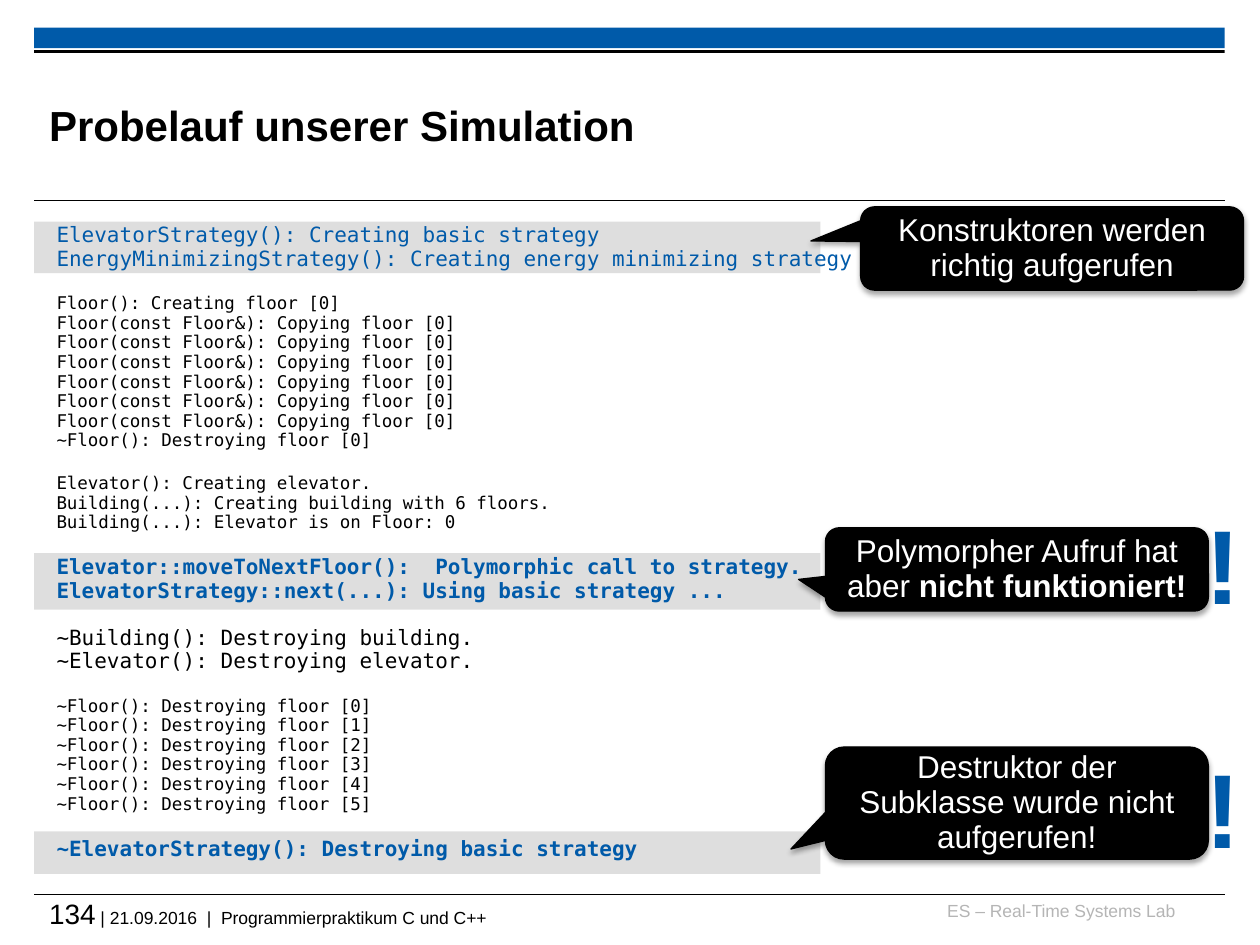
from pptx import Presentation
from pptx.dml.color import RGBColor
from pptx.enum.shapes import MSO_CONNECTOR, MSO_SHAPE
from pptx.enum.text import MSO_ANCHOR, PP_ALIGN
from pptx.oxml import parse_xml
from pptx.oxml.ns import nsdecls, qn
from pptx.util import Cm, Pt
from lxml.etree import SubElement

COLORS = {"blue": "005AA9", "black": "000000", "white": "FFFFFF",
          "band": "BFBFBF", "muted": "B5B5B5"}
MONO = "DejaVu Sans Mono"
LEFT, WIDTH = 0.69, 24.0
SHADOW = (f'<a:outerShdw {nsdecls("a")} blurRad="39370" dist="22860" dir="5400000" '
          'rotWithShape="0"><a:srgbClr val="000000"><a:alpha val="35000"/>'
          '</a:srgbClr></a:outerShdw>')


def rgb(name):
    return RGBColor.from_string(COLORS[name])


class SlideBuilder:
    def __init__(self, prs):
        self.s = prs.slides.add_slide(prs.slide_layouts[5])

    def run(self, p, text, color="black", **fmt):
        r = p.add_run()
        r.text = text
        for key, value in {"name": "Arial", "bold": False, **fmt}.items():
            setattr(r.font, key, value)
        r.font.color.rgb = rgb(color)

    def frame(self, tf, **fmt):
        margins = dict.fromkeys(
            ("margin_left", "margin_top", "margin_right", "margin_bottom"), 0)
        for key, value in {"word_wrap": True, **margins, **fmt}.items():
            setattr(tf, key, value)
        return tf.paragraphs[0]

    def title(self, text, box):
        sp = self.s.shapes.title
        sp.left, sp.top, sp.width, sp.height = map(Cm, box)
        p = self.frame(sp.text_frame, vertical_anchor=MSO_ANCHOR.MIDDLE)
        p.alignment = PP_ALIGN.LEFT
        self.run(p, text, size=Pt(24), bold=True)

    def text(self, runs, box, align=PP_ALIGN.LEFT, **fmt):
        sp = self.s.shapes.add_textbox(*map(Cm, box))
        p = self.frame(sp.text_frame, **fmt)
        p.alignment = align
        for text, style in runs:
            self.run(p, text, **style)
        return p

    def rect(self, box, color, alpha=None):
        sp = self.s.shapes.add_shape(MSO_SHAPE.RECTANGLE, *map(Cm, box))
        sp.shadow.inherit = False
        sp.fill.solid()
        sp.fill.fore_color.rgb = rgb(color)
        sp.line.fill.background()
        if alpha:
            clr = sp.fill._xPr.find(".//" + qn("a:srgbClr"))
            SubElement(clr, qn("a:alpha"), val=str(alpha * 1000))
        return sp

    def rule(self, y):
        c = self.s.shapes.add_connector(
            MSO_CONNECTOR.STRAIGHT, Cm(LEFT), Cm(y), Cm(LEFT + WIDTH), Cm(y))
        c.line.color.rgb = rgb("black")
        c.line.width = Pt(0.6)
        SubElement(c._element.spPr, qn("a:effectLst"))

    def code(self, blocks, box):
        sp = self.s.shapes.add_textbox(*map(Cm, box))
        tf = sp.text_frame
        tf.word_wrap = True
        p = tf.paragraphs[0]
        for i, (lines, style) in enumerate(blocks):
            for j, line in enumerate(lines):
                if i or j:
                    p = tf.add_paragraph()
                p.line_spacing = 0.93
                if i and j == 0:
                    p.space_before = Pt(13.4)
                self.run(p, line, name=MONO, **style)

    def callout(self, runs, box, tip):
        sp = self.s.shapes.add_shape(
            MSO_SHAPE.ROUNDED_RECTANGULAR_CALLOUT, *map(Cm, box))
        for i, value in enumerate(tip):
            sp.adjustments[i] = value
        sp.shadow.inherit = False
        sp._element.spPr.find(qn("a:effectLst")).append(parse_xml(SHADOW))
        sp.fill.solid()
        sp.fill.fore_color.rgb = rgb("black")
        sp.line.color.rgb = rgb("black")
        sp.line.width = Pt(0.75)
        tf = sp.text_frame
        tf.word_wrap = True
        tf.vertical_anchor = MSO_ANCHOR.MIDDLE
        p = tf.paragraphs[0]
        p.alignment = PP_ALIGN.CENTER
        p.line_spacing = 0.93
        for text, bold in runs:
            self.run(p, text, "white", size=Pt(18), bold=bold)

    def exclamation(self, y):
        margins = {"margin_left": Cm(0.25), "margin_right": Cm(0.25),
                   "margin_top": Cm(0.13), "margin_bottom": Cm(0.13)}
        p = self.text([("!", {"color": "blue", "size": Pt(60), "bold": True})],
                      (24.05, y, 1.22, 2.64), PP_ALIGN.CENTER,
                      word_wrap=False, **margins)
        p.line_spacing = 0.93


def main():
    prs = Presentation()
    prs.slide_width, prs.slide_height = Cm(25.4), Cm(19.05)
    b = SlideBuilder(prs)

    # Header bars, rules and footer
    b.rect((LEFT, 0.56, WIDTH, 0.41), "blue")
    b.rect((LEFT, 1.01, WIDTH, 0.06), "black")
    for y in (4.04, 18.03):
        b.rule(y)
    b.text([("ES – Real-Time Systems Lab", {"color": "muted", "size": Pt(10)})],
           (18.69, 18.14, 5.0, 0.64), PP_ALIGN.RIGHT)
    b.text([("134", {"size": Pt(16)}),
            (" | 21.09.2016  |  Programmierpraktikum C und C++", {"size": Pt(10)})],
           (0.99, 18.08, 17.5, 0.84))
    b.title("Probelauf unserer Simulation", (0.99, 1.35, 19.1, 2.34))

    # Highlight bands behind the program output
    for y, h in ((4.47, 1.04), (11.15, 1.14), (16.76, 0.86)):
        b.rect((LEFT, y, 15.85, h), "band", alpha=50)

    # Program output
    small, normal = {"size": Pt(10)}, {"size": Pt(12)}
    blue = {**normal, "color": "blue"}
    strong = {**blue, "bold": True}
    b.code([
        (["ElevatorStrategy(): Creating basic strategy",
          "EnergyMinimizingStrategy(): Creating energy minimizing strategy"], blue),
        (["Floor(): Creating floor [0]",
          *["Floor(const Floor&): Copying floor [0]"] * 6,
          "~Floor(): Destroying floor [0]"], small),
        (["Elevator(): Creating elevator.",
          "Building(...): Creating building with 6 floors.",
          "Building(...): Elevator is on Floor: 0"], small),
        (["Elevator::moveToNextFloor():  Polymorphic call to strategy.",
          "ElevatorStrategy::next(...): Using basic strategy ..."], strong),
        (["~Building(): Destroying building.",
          "~Elevator(): Destroying elevator."], normal),
        ([f"~Floor(): Destroying floor [{i}]" for i in range(6)], small),
        (["~ElevatorStrategy(): Destroying basic strategy"], strong),
    ], (0.89, 4.39, 18.39, 13.21))

    # Comments on the output
    b.callout([("Konstruktoren werden richtig aufgerufen", False)],
              (17.35, 4.17, 7.72, 1.68), (-0.63, -0.09))
    b.callout([("Polymorpher Aufruf hat aber ", False), ("nicht funktioniert!", True)],
              (16.64, 10.64, 7.72, 1.68), (-0.57, 0.12))
    b.callout([("Destruktor der Subklasse wurde nicht aufgerufen!", False)],
              (16.64, 15.06, 7.72, 2.26), (-0.59, 0.41))
    for y in (10.16, 15.09):
        b.exclamation(y)

    prs.save("out.pptx")


if __name__ == "__main__":
    main()
